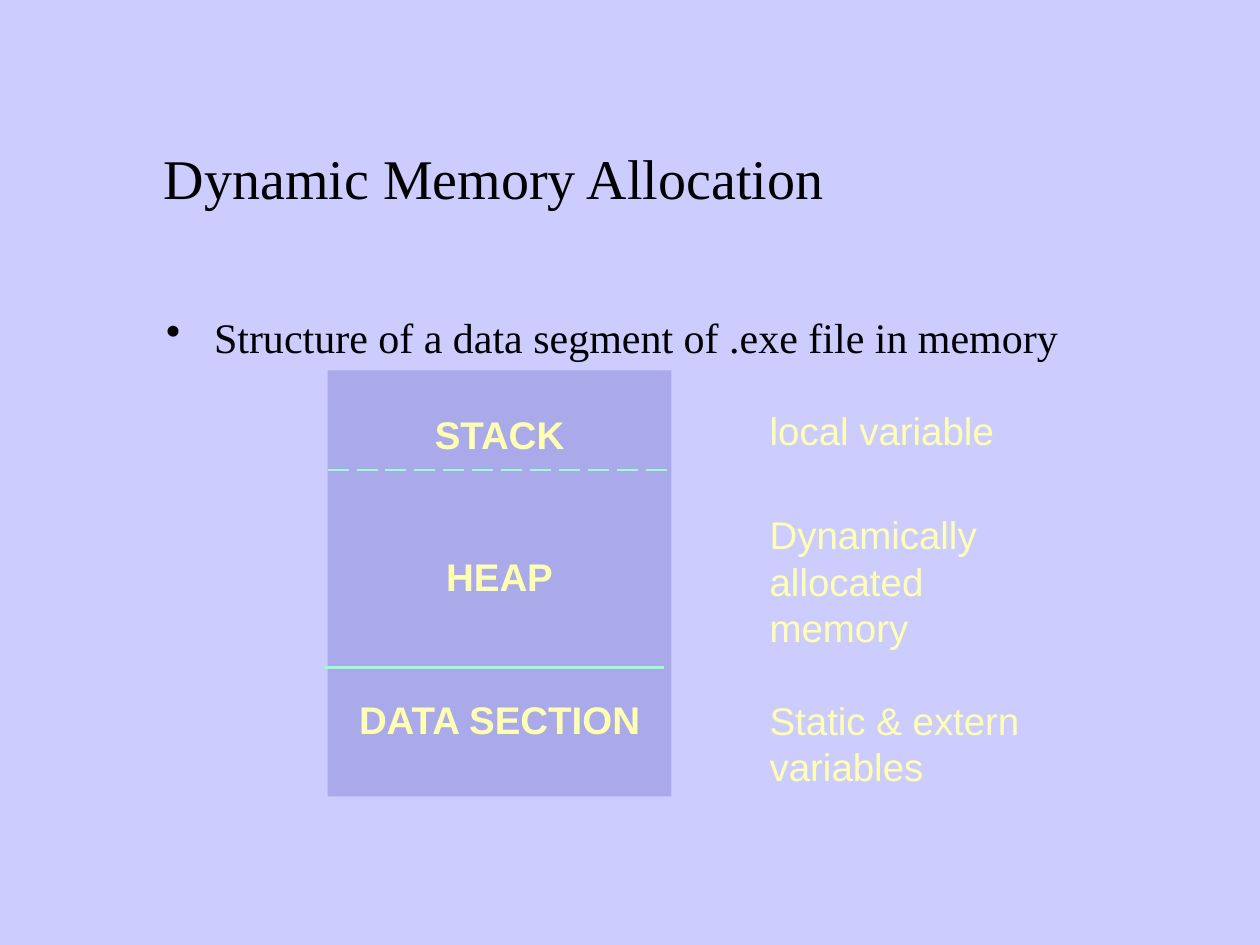
from lxml.etree import SubElement
from pptx import Presentation
from pptx.dml.color import RGBColor as RGB
from pptx.enum.dml import MSO_LINE as Dash
from pptx.enum.shapes import MSO_CONNECTOR as Connector, MSO_SHAPE as Shape
from pptx.enum.text import MSO_ANCHOR as Anchor, PP_ALIGN as Align
from pptx.oxml.ns import qn
from pptx.util import Inches, Pt

TITLE = "Dynamic Memory Allocation"
TOPIC = "Structure of a data segment of .exe file in memory"
SECTIONS = ["STACK", "HEAP", "DATA SECTION"]
CONTENTS = [
    ("local variable", 3.18, 1.98, 0.47, False),
    ("Dynamically allocated memory", 4.01, 2.09, 1.2, True),
    ("Static & extern variables", 5.48, 2.35, 0.84, True),
]
DIVIDERS = [(2.6, 3.73, Dash.LONG_DASH), (2.57, 5.3, Dash.SOLID)]

THEME = {
    "background": RGB.from_string("CCCCFF"),
    "memory": RGB.from_string("AAAAEA"),
    "divider": RGB.from_string("99FFCC"),
    "title": {"name": "Times New Roman", "size": Pt(32), "color": "000000"},
    "topic": {"name": "Times New Roman", "size": Pt(24), "color": "000000"},
    "section": {"name": "Arial", "size": Pt(22), "color": "FFFFB3", "bold": True},
    "content": {"name": "Arial", "size": Pt(22), "color": "FFFFB3"},
}

WIDTH, HEIGHT = 10, 7.5
MEMORY_LEFT, MEMORY_TOP, MEMORY_WIDTH, MEMORY_HEIGHT = 2.6, 2.94, 2.73, 3.38
CONTENT_LEFT = 6.01
DIVIDER_LENGTH = 2.7
SECTION_GAP = Pt(55)
INDENT = Inches(0.38)


def apply(target, formats):
    for key, value in formats.items():
        if key == "color":
            target.color.rgb = RGB.from_string(value)
        else:
            setattr(target, key, value)


def write(holder, lines, style, align=Align.LEFT, gap=None, bullet=None, **frame_format):
    frame = holder.text_frame
    apply(frame, {"word_wrap": True, **frame_format})
    for index, line in enumerate(lines):
        paragraph = frame.add_paragraph() if index else frame.paragraphs[0]
        paragraph.text = line
        paragraph.alignment = align
        if index and gap is not None:
            paragraph.space_before = gap
        if bullet:
            properties = paragraph._p.get_or_add_pPr()
            properties.set("marL", str(INDENT))
            properties.set("indent", str(-INDENT))
            SubElement(properties, qn("a:buChar"), char=bullet)
        apply(paragraph.font, THEME[style])


def add_text(slide, box, *args, **formats):
    write(slide.shapes.add_textbox(*map(Inches, box)), *args, **formats)


def add_divider(slide, left, top, dash):
    divider = slide.shapes.add_connector(
        Connector.STRAIGHT, *map(Inches, (left, top, left + DIVIDER_LENGTH, top)))
    apply(divider.line, {"width": Pt(1.5), "dash_style": dash})
    divider.line.color.rgb = THEME["divider"]
    SubElement(divider._element.spPr, qn("a:effectLst"))


def main():
    deck = Presentation()
    apply(deck, {"slide_width": Inches(WIDTH), "slide_height": Inches(HEIGHT)})
    slide = deck.slides.add_slide(deck.slide_layouts[6])
    slide.background.fill.solid()
    slide.background.fill.fore_color.rgb = THEME["background"]

    add_text(slide, (1, 1, 5.84, 0.75), [TITLE], "title", align=Align.CENTER,
             vertical_anchor=Anchor.MIDDLE, margin_top=Inches(0.06), margin_bottom=0)
    add_text(slide, (1.22, 2.39, 7.55, 0.56), [TOPIC], "topic", bullet="•",
             margin_top=Inches(0.08))

    memory = slide.shapes.add_shape(Shape.RECTANGLE, *map(
        Inches, (MEMORY_LEFT, MEMORY_TOP, MEMORY_WIDTH, MEMORY_HEIGHT)))
    memory.shadow.inherit = False
    memory.fill.solid()
    memory.fill.fore_color.rgb = THEME["memory"]
    memory.line.fill.background()
    write(memory, SECTIONS, "section", align=Align.CENTER, gap=SECTION_GAP,
          word_wrap=False, vertical_anchor=Anchor.TOP, margin_top=Inches(0.32))

    for content, top, width, height, wraps in CONTENTS:
        add_text(slide, (CONTENT_LEFT, top, width, height), [content], "content",
                 word_wrap=wraps)
    for divider in DIVIDERS:
        add_divider(slide, *divider)

    deck.save("out.pptx")


if __name__ == "__main__":
    main()
